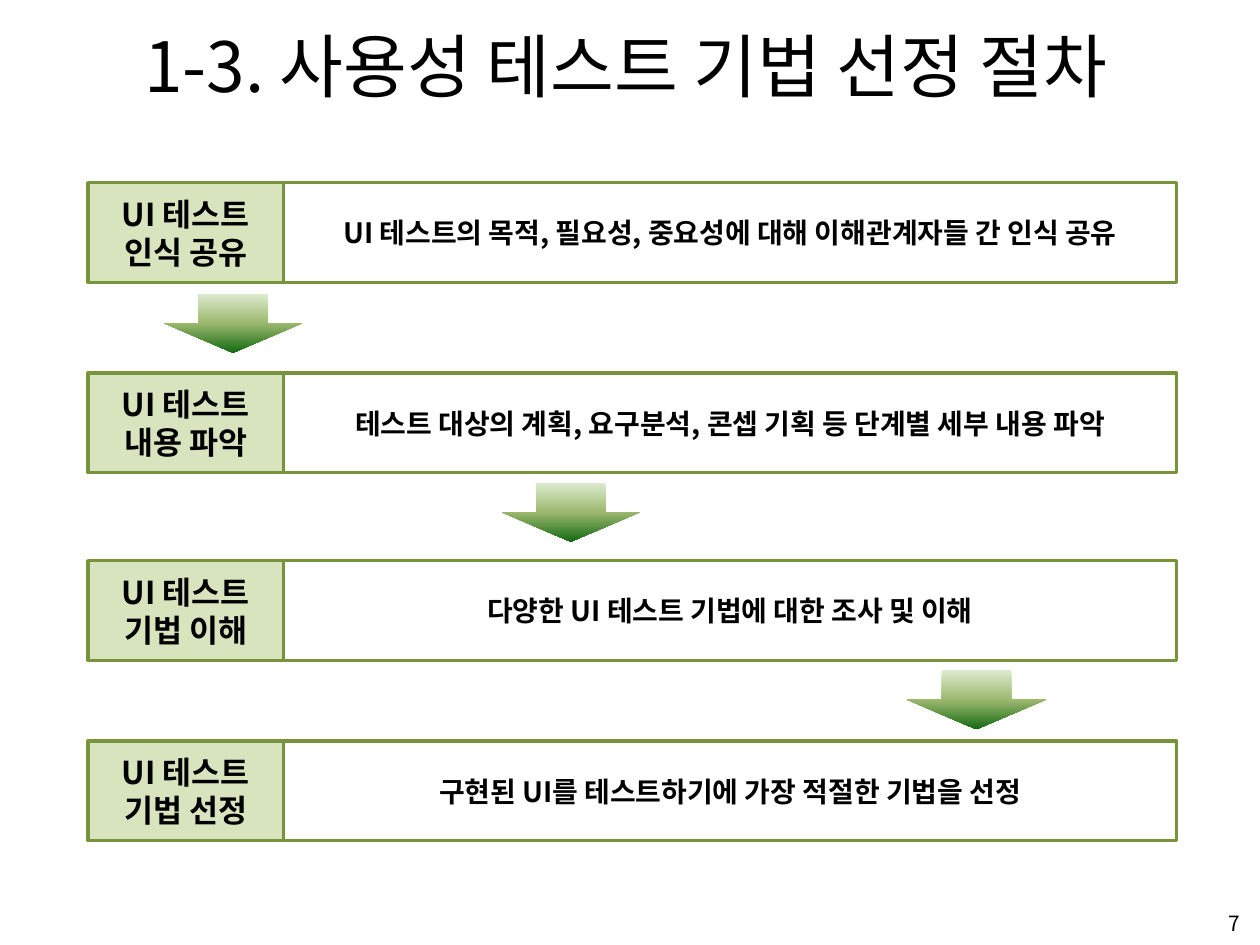
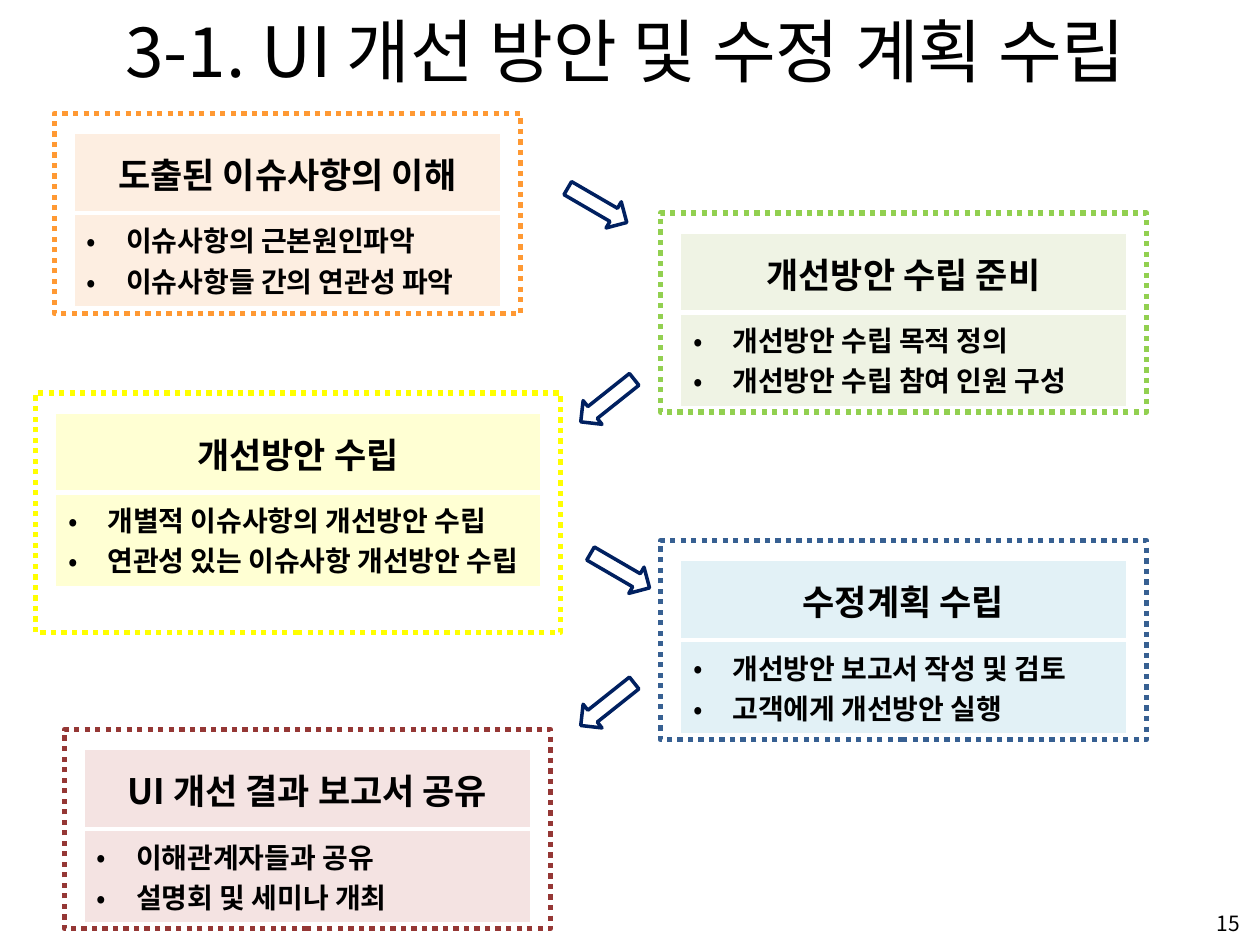
from typing import NamedTuple

from lxml import etree
from pptx import Presentation
from pptx.dml.color import RGBColor
from pptx.enum import dml, shapes, text
from pptx.oxml.ns import qn
from pptx.util import Pt

FONT = "Noto Sans CJK KR"
BLACK = RGBColor(0x00, 0x00, 0x00)
WHITE = RGBColor(0xFF, 0xFF, 0xFF)
NAVY = RGBColor(0x00, 0x20, 0x60)
STEP_LINE = RGBColor(0x77, 0x93, 0x3C)
STEP_FILL = RGBColor(0xD7, 0xE4, 0xBD)
ARROW_STOPS = (
    (0, RGBColor(0xDD, 0xEB, 0xCF)),
    (50, RGBColor(0x9C, 0xB8, 0x6E)),
    (100, RGBColor(0x15, 0x6B, 0x13)),
)
ORANGE, ORANGE_TINT = RGBColor(0xFF, 0x99, 0x33), RGBColor(0xFD, 0xEA, 0xDA)
GREEN, GREEN_TINT = RGBColor(0x92, 0xD0, 0x50), RGBColor(0xEB, 0xF1, 0xDE)
YELLOW, YELLOW_TINT = RGBColor(0xFF, 0xFF, 0x00), RGBColor(0xFF, 0xFF, 0xC8)
BLUE, BLUE_TINT = RGBColor(0x37, 0x60, 0x92), RGBColor(0xDB, 0xEE, 0xF4)
RED, RED_TINT = RGBColor(0x95, 0x37, 0x35), RGBColor(0xF2, 0xDC, 0xDB)

RECT = shapes.MSO_SHAPE.RECTANGLE
CENTER = text.PP_ALIGN.CENTER
LEFT = text.PP_ALIGN.LEFT
RIGHT = text.PP_ALIGN.RIGHT

LABEL_X, LABEL_W = 50.4, 111.6
DETAIL_W, STEP_H = 510.4, 57
CARD_INSET, HEADING_H, POINTS_H = 11.5, 45.4, 53.6
INDENT = 22.5


class Box(NamedTuple):
    x: float
    y: float
    w: float
    h: float

    def emu(self) -> list[int]:
        return [Pt(v) for v in self]


class Step(NamedTuple):
    y: float
    label: list[str]
    detail: str


class Card(NamedTuple):
    frame: Box
    line: RGBColor
    tint: RGBColor
    heading: str
    points: list[str]


class Turn(NamedTuple):
    x: float
    y: float
    angle: float


STEPS = [
    Step(104.4, ["UI 테스트", "인식 공유"],
         "UI 테스트의 목적, 필요성, 중요성에 대해 이해관계자들 간 인식 공유"),
    Step(213.1, ["UI 테스트", "내용 파악"],
         "테스트 대상의 계획, 요구분석, 콘셉 기획 등 단계별 세부 내용 파악"),
    Step(320.4, ["UI 테스트", "기법 이해"], "다양한 UI 테스트 기법에 대한 조사 및 이해"),
    Step(423.4, ["UI 테스트", "기법 선정"], "구현된 UI를 테스트하기에 가장 적절한 기법을 선정"),
]
STEP_ARROWS = [(93.6, 167.8), (286.6, 275.8), (518.4, 383)]

CARDS = [
    Card(Box(31, 64.8, 266.4, 114.5), ORANGE, ORANGE_TINT, "도출된 이슈사항의 이해",
         ["이슈사항의 근본원인파악", "이슈사항들 간의 연관성 파악"]),
    Card(Box(377.3, 121.7, 278, 113.8), GREEN, GREEN_TINT, "개선방안 수립 준비",
         ["개선방안 수립 목적 정의", "개선방안 수립 참여 인원 구성"]),
    Card(Box(20.2, 224.6, 300.2, 136.8), YELLOW, YELLOW_TINT, "개선방안 수립",
         ["개별적 이슈사항의 개선방안 수립", "연관성 있는 이슈사항 개선방안 수립"]),
    Card(Box(377.3, 308.9, 278, 113.8), BLUE, BLUE_TINT, "수정계획 수립",
         ["개선방안 보고서 작성 및 검토", "고객에게 개선방안 실행"]),
    Card(Box(36.7, 416.9, 278, 113.8), RED, RED_TINT, "UI 개선 결과 보고서 공유",
         ["이해관계자들과 공유", "설명회 및 세미나 개최"]),
]
TURNS = [Turn(321.8, 108.7, 30.2), Turn(327.6, 220.3, 141.5),
         Turn(334.8, 317.5, 30.2), Turn(327.6, 393.8, 141.5)]


def write(tf, lines: list[str], size: float, bold: bool = False,
          align=CENTER, bullet: bool = False) -> None:
    for i, line in enumerate(lines):
        p = tf.paragraphs[0] if i == 0 else tf.add_paragraph()
        p.alignment = align
        if bullet:
            pPr = p._p.get_or_add_pPr()
            pPr.set("marL", str(Pt(INDENT)))
            pPr.set("indent", str(-Pt(INDENT)))
            etree.SubElement(pPr, qn("a:buFont"), typeface=FONT)
            etree.SubElement(pPr, qn("a:buChar"), char="•")
        r = p.add_run()
        r.text = line
        r.font.size, r.font.bold = Pt(size), bold
        r.font.name, r.font.color.rgb = FONT, BLACK
        etree.SubElement(r._r.get_or_add_rPr(), qn("a:ea"), typeface=FONT)


def add_text(s, box: Box, line: str, size: float, align=CENTER) -> None:
    tf = s.shapes.add_textbox(*box.emu()).text_frame
    tf.word_wrap = True
    tf.vertical_anchor = text.MSO_ANCHOR.MIDDLE
    tf.margin_top = tf.margin_bottom = 0
    write(tf, [line], size, align=align)


def add_shape(s, kind, box: Box, fill: RGBColor | None = None,
              line: RGBColor | None = None, width: float = 2):
    sp = s.shapes.add_shape(kind, *box.emu())
    sp.shadow.inherit = False
    if fill is None:
        sp.fill.background()
    else:
        sp.fill.solid()
        sp.fill.fore_color.rgb = fill
    if line is None:
        sp.line.fill.background()
    else:
        sp.line.color.rgb, sp.line.width = line, Pt(width)
    sp.text_frame.vertical_anchor = text.MSO_ANCHOR.MIDDLE
    return sp


def add_step(s, step: Step) -> None:
    detail = add_shape(s, RECT, Box(LABEL_X + LABEL_W, step.y, DETAIL_W, STEP_H),
                       line=STEP_LINE)
    detail.text_frame.margin_left = detail.text_frame.margin_right = 0
    write(detail.text_frame, [step.detail], 16, bold=True)
    label = add_shape(s, RECT, Box(LABEL_X, step.y, LABEL_W, STEP_H), STEP_FILL, STEP_LINE)
    write(label.text_frame, step.label, 18, bold=True)


def add_step_arrow(s, x: float, y: float) -> None:
    sp = add_shape(s, shapes.MSO_SHAPE.DOWN_ARROW, Box(x, y, 79.2, 33.8))
    sp.fill.gradient()
    sp.fill.gradient_angle = 270
    stops = sp._element.spPr.find(".//" + qn("a:gsLst"))
    for old in list(stops):
        stops.remove(old)
    for percent, color in ARROW_STOPS:
        gs = etree.SubElement(stops, qn("a:gs"), pos=str(percent * 1000))
        etree.SubElement(gs, qn("a:srgbClr"), val=str(color))


def style_cell(cell, tint: RGBColor, top: float, bottom: float) -> None:
    """Give a cell white borders and a fill of 80 % opacity."""
    cell.vertical_anchor = text.MSO_ANCHOR.MIDDLE
    tcPr = cell._tc.get_or_add_tcPr()
    for side, width in (("L", 1), ("R", 1), ("T", top), ("B", bottom)):
        ln = etree.SubElement(tcPr, qn(f"a:ln{side}"), w=str(Pt(width)))
        solid = etree.SubElement(ln, qn("a:solidFill"))
        etree.SubElement(solid, qn("a:srgbClr"), val=str(WHITE))
    cell.fill.solid()
    cell.fill.fore_color.rgb = tint
    color = tcPr.find(qn("a:solidFill"))[0]
    etree.SubElement(color, qn("a:alpha"), val="80000")


def add_card(s, card: Card) -> None:
    f = card.frame
    frame = add_shape(s, RECT, f, line=card.line, width=3)
    frame.line.dash_style = dml.MSO_LINE.ROUND_DOT
    box = Box(f.x + CARD_INSET, f.y + CARD_INSET, f.w - 2 * CARD_INSET,
              HEADING_H + POINTS_H)
    table = s.shapes.add_table(2, 1, *box.emu()).table
    table.first_row = table.horz_banding = False
    table.rows[0].height, table.rows[1].height = Pt(HEADING_H), Pt(POINTS_H)
    heading, points = table.cell(0, 0), table.cell(1, 0)
    style_cell(heading, card.tint, top=1, bottom=3)
    style_cell(points, card.tint, top=3, bottom=1)
    write(heading.text_frame, [card.heading], 20, bold=True)
    write(points.text_frame, card.points, 16, bold=True, align=LEFT, bullet=True)


def add_slide(prs, title: str, title_box: Box, number: int):
    s = prs.slides.add_slide(prs.slide_layouts[6])
    add_text(s, title_box, title, 39.6)
    add_text(s, Box(547.9, 519, 167.8, 17), str(number), 12, RIGHT)
    return s


def main() -> None:
    prs = Presentation()
    prs.slide_width, prs.slide_height = Pt(720), Pt(540)

    s = add_slide(prs, "1-3. 사용성 테스트 기법 선정 절차", Box(14.4, 9.4, 686.2, 55.4), 7)
    for step in STEPS:
        add_step(s, step)
    for x, y in STEP_ARROWS:
        add_step_arrow(s, x, y)

    s = add_slide(prs, "3-1. UI 개선 방안 및 수정 계획 수립", Box(8.6, 3.6, 697.7, 49.7), 15)
    for card in CARDS:
        add_card(s, card)
    for turn in TURNS:
        arrow = add_shape(s, shapes.MSO_SHAPE.RIGHT_ARROW, Box(turn.x, turn.y, 39, 17.3),
                          line=NAVY)
        arrow.rotation = turn.angle

    prs.save("out.pptx")


if __name__ == "__main__":
    main()
